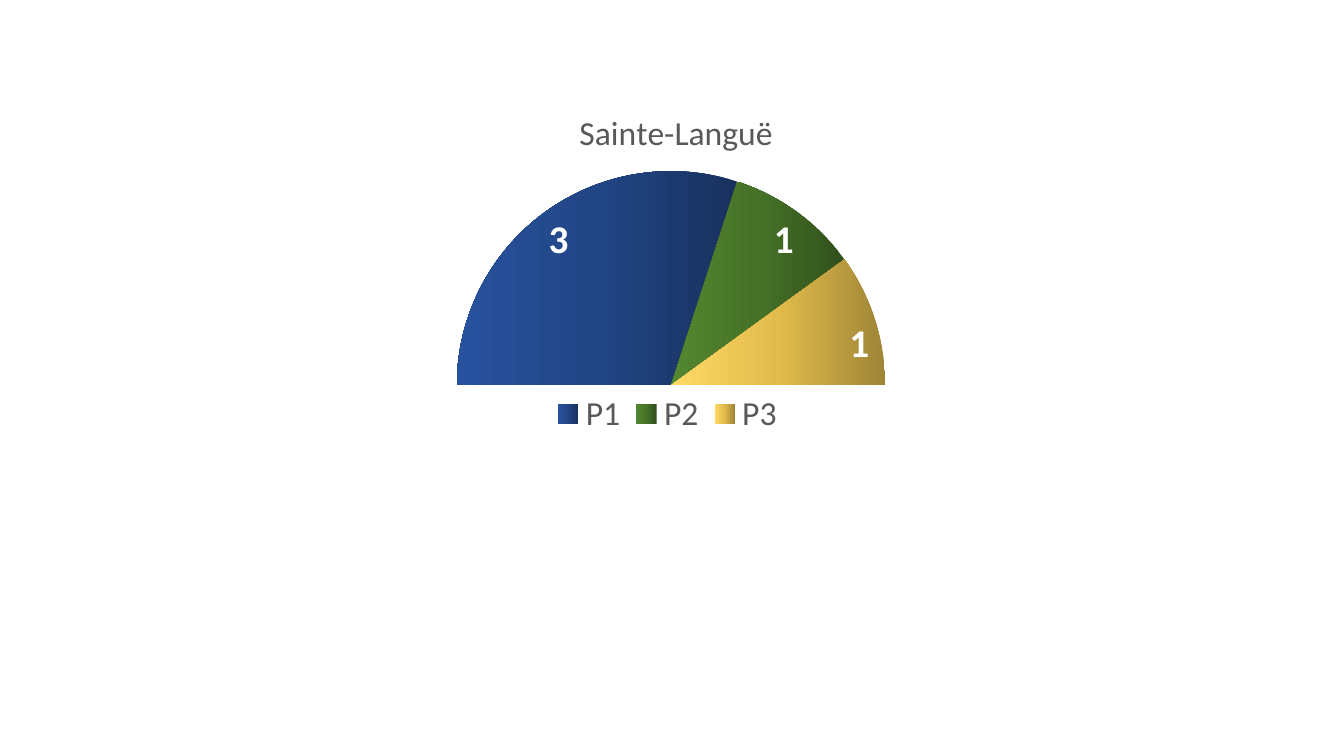
from copy import deepcopy

from lxml import etree
from pptx import Presentation
from pptx.chart.data import CategoryChartData
from pptx.dml.color import RGBColor
from pptx.enum.chart import XL_CHART_TYPE, XL_LABEL_POSITION, XL_LEGEND_POSITION
from pptx.oxml.ns import qn
from pptx.util import Inches, Pt

PIE = XL_CHART_TYPE.PIE
INSIDE_END = XL_LABEL_POSITION.INSIDE_END
BOTTOM = XL_LEGEND_POSITION.BOTTOM

TITLE = "Sainte-Languë"
SEATS = {"P1": 3, "P2": 1, "P3": 1, "P6": 5}
GRADIENTS = [
    ("18315E", "224585", "28529E"),
    ("31501C", "467228", "538730"),
    ("9E8436", "E1BC4C", "FFD966"),
]
HIDDEN = len(GRADIENTS)


def set_font(font, size, color, bold=False):
    font.name = "Calibri"
    font.size = Pt(size)
    font.bold = bold
    font.color.rgb = RGBColor.from_string(color)


def set_layout(parent, index, **values):
    for old in parent.findall(qn("c:layout")):
        parent.remove(old)
    layout = etree.Element(qn("c:layout"))
    manual = etree.SubElement(layout, qn("c:manualLayout"))
    for tag, val in values.items():
        etree.SubElement(manual, qn(f"c:{tag}")).set("val", str(val))
    parent.insert(index, layout)


prs = Presentation()
prs.slide_width = Inches(13.33)
prs.slide_height = Inches(7.5)
slide = prs.slides.add_slide(prs.slide_layouts[6])

data = CategoryChartData()
data.categories = list(SEATS)
data.add_series(TITLE, list(SEATS.values()))
chart = slide.shapes.add_chart(
    PIE, Inches(2.22), Inches(0.79), Inches(8.89), Inches(5.93), data
).chart
set_font(chart.font, 10, "000000")

chart.has_title = True
title = chart.chart_title
title.include_in_layout = False
title.text_frame.text = TITLE
set_font(title.text_frame.paragraphs[0].runs[0].font, 24, "595959")
set_layout(title._element, 1, xMode="edge", yMode="edge", x=0.39, y=0.04)

plot = chart.plots[0]
plot.vary_by_categories = True
pie = plot._element
for old in pie.findall(qn("c:firstSliceAng")):
    pie.remove(old)
etree.SubElement(pie, qn("c:firstSliceAng")).set("val", "270")
set_layout(pie.getparent(), 0, layoutTarget="inner", xMode="edge", yMode="edge",
           x=0.26, y=0.153, w=0.478, h=0.717)

series = plot.series[0]
for i, colors in enumerate(GRADIENTS):
    fill = series.points[i].format.fill
    fill.gradient()
    fill.gradient_angle = 180
    first = fill.gradient_stops[0]._gs
    first.addnext(deepcopy(first))
    for stop, position, color in zip(fill.gradient_stops, (0, 0.5, 1), colors):
        stop.position = position
        stop.color.rgb = RGBColor.from_string(color)
fill = series.points[HIDDEN].format.fill
fill.solid()
fill.fore_color.rgb = RGBColor.from_string("FFFFFF")

labels = series.data_labels
labels.show_value = True
labels.position = INSIDE_END
set_font(labels.font, 28, "FFFFFF", True)

chart.has_legend = True
legend = chart.legend
legend.position = BOTTOM
legend.include_in_layout = False
set_font(legend.font, 24, "595959")
set_layout(legend._element, 1, xMode="edge", yMode="edge",
           x=0.355, y=0.515, w=0.28, h=0.09)

for parent, tag, index in ((labels._element, "dLbl", 0), (legend._element, "legendEntry", 1)):
    entry = etree.Element(qn(f"c:{tag}"))
    etree.SubElement(entry, qn("c:idx")).set("val", str(HIDDEN))
    etree.SubElement(entry, qn("c:delete")).set("val", "1")
    parent.insert(index, entry)

prs.save("out.pptx")
